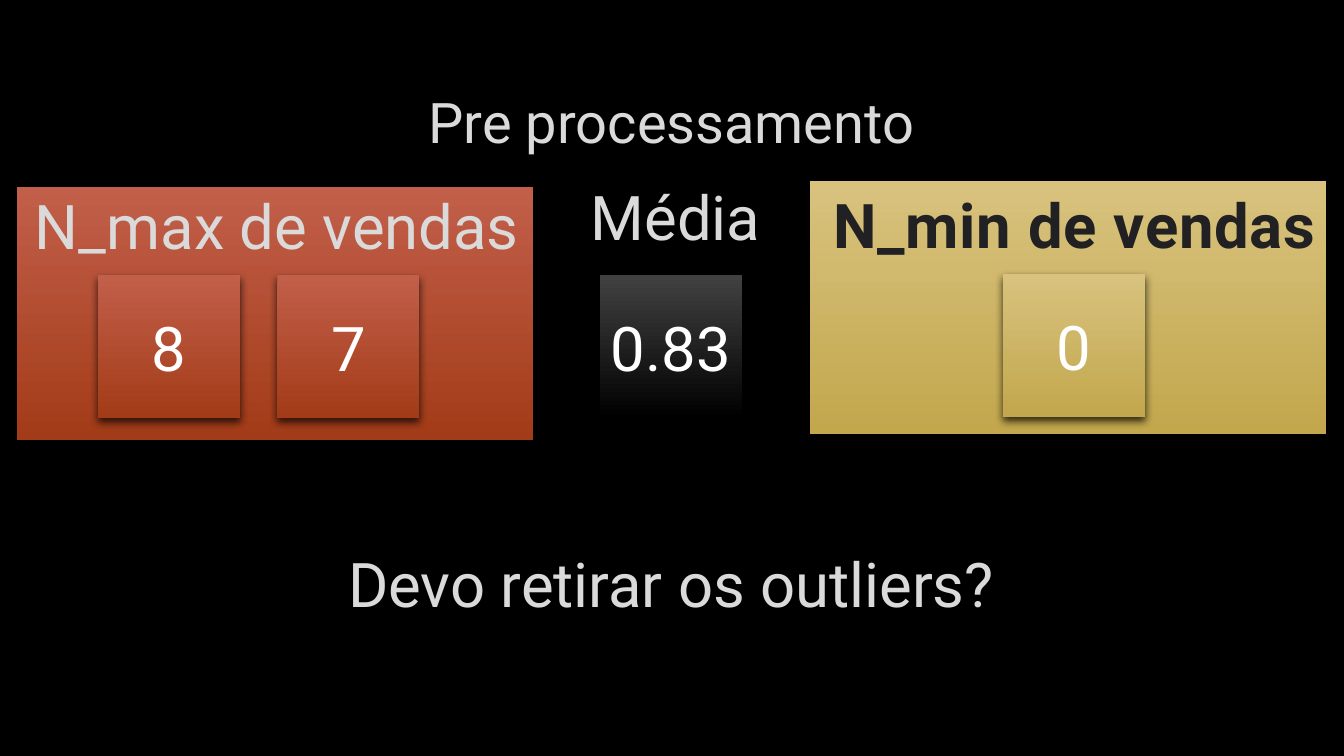
from dataclasses import dataclass

from lxml import etree
from pptx import Presentation
from pptx.dml.color import RGBColor
from pptx.enum.shapes import MSO_SHAPE
from pptx.enum.text import MSO_ANCHOR, PP_ALIGN
from pptx.oxml.ns import qn
from pptx.util import Inches, Pt

RECTANGLE = MSO_SHAPE.RECTANGLE
CENTER = PP_ALIGN.CENTER
MIDDLE = MSO_ANCHOR.MIDDLE
TITLE_ONLY_LAYOUT = 5


@dataclass(frozen=True)
class Theme:
    font: str = "Roboto"
    background: str = "000000"
    light: str = "DADADA"
    dark: str = "212123"
    white: str = "FFFFFF"
    shadow: str = "000000"
    red: tuple = ("C25F4A", "A23B17")
    gold: tuple = ("D8C27E", "C2A74D")
    gray: tuple = ("414141", "000000")
    title_size: int = 40
    text_size: int = 44


THEME = Theme()


def make_shadow(blur, distance, angle, opacity):
    effects = etree.Element(qn("a:effectLst"))
    shadow = etree.SubElement(
        effects, qn("a:outerShdw"), blurRad=str(Pt(blur)), dist=str(Pt(distance)),
        dir=str(angle * 60000), algn="ctr", rotWithShape="0")
    color = etree.SubElement(shadow, qn("a:srgbClr"), val=THEME.shadow)
    etree.SubElement(color, qn("a:alpha"), val=str(opacity * 1000))
    return effects


def write_text(shape, text, color, size=THEME.text_size, bold=False):
    frame = shape.text_frame
    frame.word_wrap = True
    frame.vertical_anchor = MIDDLE
    paragraph = frame.paragraphs[0]
    paragraph.alignment = CENTER
    run = paragraph.add_run()
    run.text = text
    run.font.name = THEME.font
    run.font.size = Pt(size)
    run.font.bold = bold
    run.font.color.rgb = RGBColor.from_string(color)
    return run


def add_text_shadow(run):
    fill = run.font._element.find(qn("a:solidFill"))
    fill.addnext(make_shadow(3, 2, 45, 60))


def add_gradient_box(slide, left, top, width, height, colors):
    shape = slide.shapes.add_shape(
        RECTANGLE, Inches(left), Inches(top), Inches(width), Inches(height))
    shape.line.fill.background()
    shape.fill.gradient()
    shape.fill.gradient_angle = 270
    for position, (stop, color) in enumerate(zip(shape.fill.gradient_stops, colors)):
        stop.position = position
        stop.color.rgb = RGBColor.from_string(color)
    shape._element.spPr.append(make_shadow(6, 3, 90, 75))
    return shape


def add_panel(slide, left, top, colors):
    add_gradient_box(slide, left, top, 5.12, 2.51, colors)


def add_value_tile(slide, left, top, value, colors):
    tile = add_gradient_box(slide, left, top, 1.41, 1.42, colors)
    write_text(tile, value, THEME.white)


def add_label(slide, left, top, width, text, color=THEME.light, bold=False):
    label = slide.shapes.add_textbox(
        Inches(left), Inches(top), Inches(width), Inches(1.5))
    return write_text(label, text, color, bold=bold)


def set_title(slide, text):
    title = slide.shapes.title
    title.left, title.top = Inches(1), Inches(0.67)
    title.width, title.height = Inches(11.32), Inches(1.06)
    write_text(title, text, THEME.light, THEME.title_size)


def main():
    presentation = Presentation()
    presentation.slide_width = Inches(13.33)
    presentation.slide_height = Inches(7.5)
    slide = presentation.slides.add_slide(presentation.slide_layouts[TITLE_ONLY_LAYOUT])
    slide.background.fill.solid()
    slide.background.fill.fore_color.rgb = RGBColor.from_string(THEME.background)

    add_panel(slide, 8.03, 1.8, THEME.gold)
    add_panel(slide, 0.17, 1.86, THEME.red)
    set_title(slide, "Pre processamento")
    add_label(slide, 3.14, 5.03, 7.04, "Devo retirar os outliers?")

    for left, top, value, colors in (
        (0.97, 2.73, "8", THEME.red),
        (2.75, 2.73, "7", THEME.red),
        (5.95, 2.73, "0.83", THEME.gray),
        (9.95, 2.72, "0", THEME.gold),
    ):
        add_value_tile(slide, left, top, value, colors)

    add_text_shadow(add_label(slide, -0.37, 1.48, 6.24, "N_max de vendas"))
    add_label(slide, 3.58, 1.39, 6.24, "Média")
    minimum = add_label(slide, 7.54, 1.47, 6.24, "N_min de vendas", THEME.dark, True)
    minimum.font._element.set("spc", "50")
    add_text_shadow(minimum)

    presentation.save("out.pptx")


if __name__ == "__main__":
    main()
